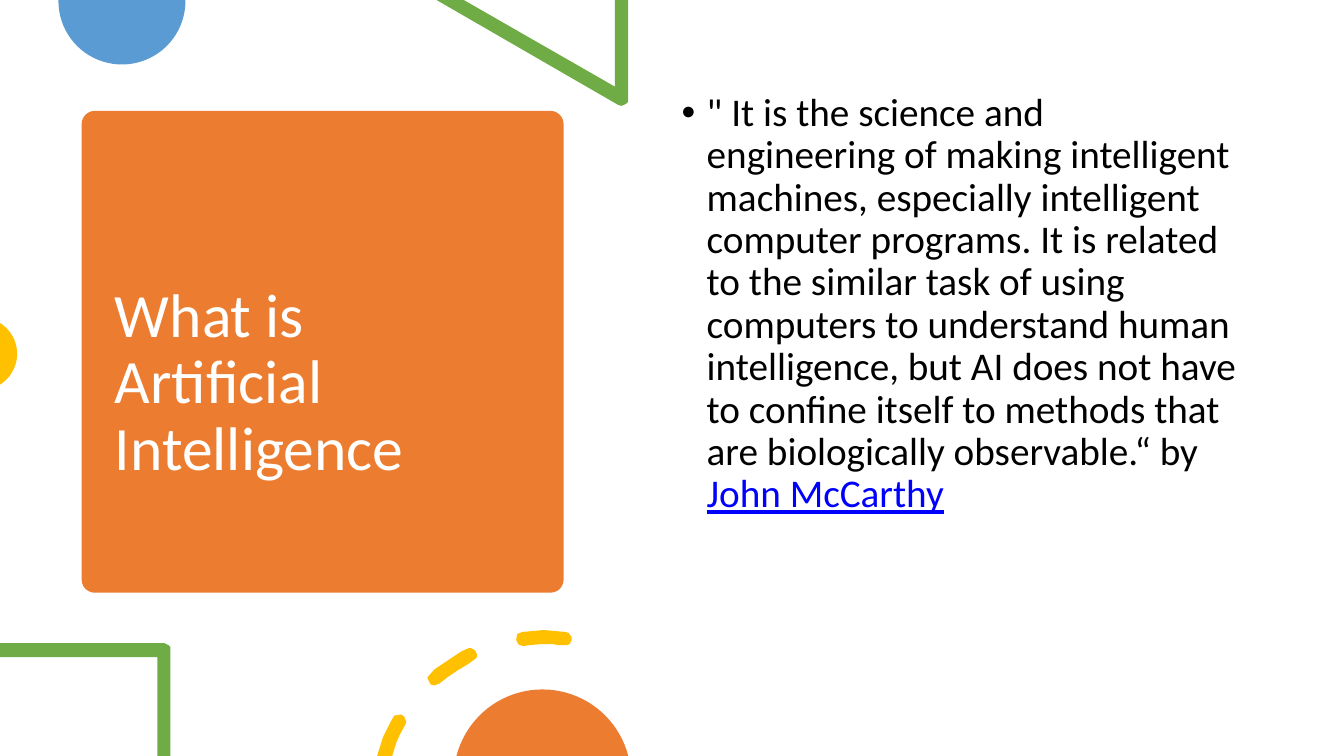
from math import cos, radians, sin

from lxml.etree import SubElement
from pptx import Presentation
from pptx.dml.color import RGBColor
from pptx.enum.shapes import MSO_SHAPE
from pptx.enum.text import MSO_ANCHOR, MSO_AUTO_SIZE, PP_ALIGN
from pptx.oxml.ns import qn
from pptx.util import Inches, Pt

ORANGE, BLUE, GREEN, GOLD = "EC7C30", "5B9BD4", "6FAC46", "FFC000"
WHITE, BLACK, LINK = "FFFFFF", "000000", "0000FF"


def color(code):
    return RGBColor.from_string(code)


def arc(x, y, radius, start, end, steps=40):
    """Points along a circle, angles in degrees clockwise from the right."""
    turns = [radians(start + (end - start) * i / steps) for i in range(steps + 1)]
    return [(x + radius * cos(t), y + radius * sin(t)) for t in turns]


class Deck:
    font = "Calibri"

    def __init__(self):
        self.prs = Presentation()
        self.prs.slide_width = Inches(13.33)
        self.prs.slide_height = Inches(7.5)
        self.slide = self.prs.slides.add_slide(self.prs.slide_layouts[5])
        self.shapes = self.slide.shapes

    def paint(self, shape, fill):
        shape.shadow.inherit = False
        shape.fill.solid()
        shape.fill.fore_color.rgb = color(fill)
        shape.line.fill.background()

    def card(self, left, top, width, height, fill, radius):
        box = self.shapes.add_shape(
            MSO_SHAPE.ROUNDED_RECTANGLE,
            Inches(left), Inches(top), Inches(width), Inches(height))
        box.adjustments[0] = radius / min(width, height)
        self.paint(box, fill)

    def outline(self, fill, *paths):
        pen = None
        for path in paths:
            start, *rest = [(Inches(x), Inches(y)) for x, y in path]
            if pen is None:
                pen = self.shapes.build_freeform(*start, scale=1.0)
            else:
                pen.move_to(*start)
            pen.add_line_segments(rest, close=True)
        self.paint(pen.convert_to_shape(), fill)

    def place(self, box, left, top, width, height, insets):
        box.left, box.top = Inches(left), Inches(top)
        box.width, box.height = Inches(width), Inches(height)
        frame = box.text_frame
        frame.word_wrap = True
        frame.auto_size = MSO_AUTO_SIZE.NONE
        frame.vertical_anchor = MSO_ANCHOR.TOP
        (frame.margin_left, frame.margin_top,
         frame.margin_right, frame.margin_bottom) = map(Inches, insets)
        return frame

    def style(self, para, size, fill):
        para.alignment = PP_ALIGN.LEFT
        para.space_before = Pt(0)
        for run in para.runs:
            run.font.name = self.font
            run.font.size = Pt(size)
            run.font.color.rgb = color(fill)

    def title(self, text, *spot):
        box = self.shapes.title
        self.shapes._spTree.append(box._element)  # bring in front of the card
        frame = self.place(box, *spot, insets=(0.01, 0.1, 0.3, 0))
        frame.text = text
        para = frame.paragraphs[0]
        self.style(para, 44, WHITE)
        para.line_spacing = Pt(47.5)

    def quote(self, text, author, *spot):
        box = self.shapes.add_textbox(0, 0, 0, 0)
        frame = self.place(box, *spot, insets=(0, 0.06, 0, 0))
        frame.text = text
        para = frame.paragraphs[0]
        props = para._p.get_or_add_pPr()
        props.set("marL", str(Inches(0.26)))
        props.set("indent", str(Inches(-0.25)))
        SubElement(props, qn("a:buFont")).set("typeface", "Arial")
        SubElement(props, qn("a:buChar")).set("char", "•")
        name = para.add_run()
        name.text = author
        self.style(para, 28, BLACK)
        para.line_spacing = 0.9
        name.font.color.rgb = color(LINK)
        name.font.underline = True


def main():
    deck = Deck()

    # Title card
    deck.card(0.81, 1.1, 4.78, 4.78, ORANGE, radius=0.13)
    deck.title("What is Artificial Intelligence", 1.13, 2.71, 4.05, 1.42)

    # Decoration along the top and left edges
    deck.outline(BLUE, arc(1.21, 0.01, 0.63, 0, 180) + [(0.58, 0), (1.84, 0)])
    deck.outline(GREEN, [
        (6.23, 0), (6.1, 0), (6.1, 0.86), (4.6, 0), (4.33, 0), (6.13, 1.04),
        (6.16, 1.05), (6.19, 1.04), (6.21, 1.03), (6.23, 1.01), (6.23, 0.98)])
    deck.outline(GOLD, arc(-0.19, 3.51, 0.36, -58, 58))

    # Quotation
    deck.quote(
        "\" It is the science and\vengineering of making intelligent machines, "
        "especially intelligent computer programs. It is related to the similar "
        "task of using computers to understand human intelligence, but AI does "
        "not have to confine itself to methods that are biologically "
        "observable.“ by ", "John McCarthy", 6.75, 0.86, 5.53, 4.28)

    # Decoration along the bottom edge
    deck.outline(GREEN, [
        (1.63, 6.38), (0, 6.38), (0, 6.52), (1.56, 6.52), (1.56, 7.5),
        (1.69, 7.5), (1.69, 6.42), (1.67, 6.4), (1.65, 6.39)])
    low = [(3.97, 7.09), (3.91, 7.1), (3.87, 7.17), (3.8, 7.31), (3.74, 7.5),
           (3.89, 7.5), (3.93, 7.37), (3.97, 7.28), (4.02, 7.19), (4.03, 7.16),
           (4.01, 7.11), (3.98, 7.09)]
    mid = [(4.65, 6.43), (4.58, 6.46), (4.49, 6.52), (4.4, 6.58), (4.31, 6.64),
           (4.24, 6.72), (4.25, 6.75), (4.27, 6.79), (4.31, 6.8), (4.36, 6.78),
           (4.45, 6.71), (4.54, 6.65), (4.64, 6.59), (4.71, 6.54), (4.73, 6.52),
           (4.73, 6.49), (4.71, 6.45), (4.69, 6.44), (4.67, 6.43)]
    high = [(5.39, 6.25), (5.29, 6.26), (5.18, 6.27), (5.13, 6.29), (5.12, 6.35),
            (5.14, 6.39), (5.16, 6.4), (5.19, 6.41), (5.25, 6.4), (5.37, 6.39),
            (5.48, 6.39), (5.54, 6.4), (5.62, 6.4), (5.65, 6.39), (5.67, 6.35),
            (5.67, 6.32), (5.64, 6.28), (5.61, 6.27), (5.5, 6.26)]
    deck.outline(GOLD, low, mid, high)
    deck.outline(ORANGE, arc(5.38, 7.72, 0.88, -165.5, -14.5))

    deck.prs.save("out.pptx")


if __name__ == "__main__":
    main()
